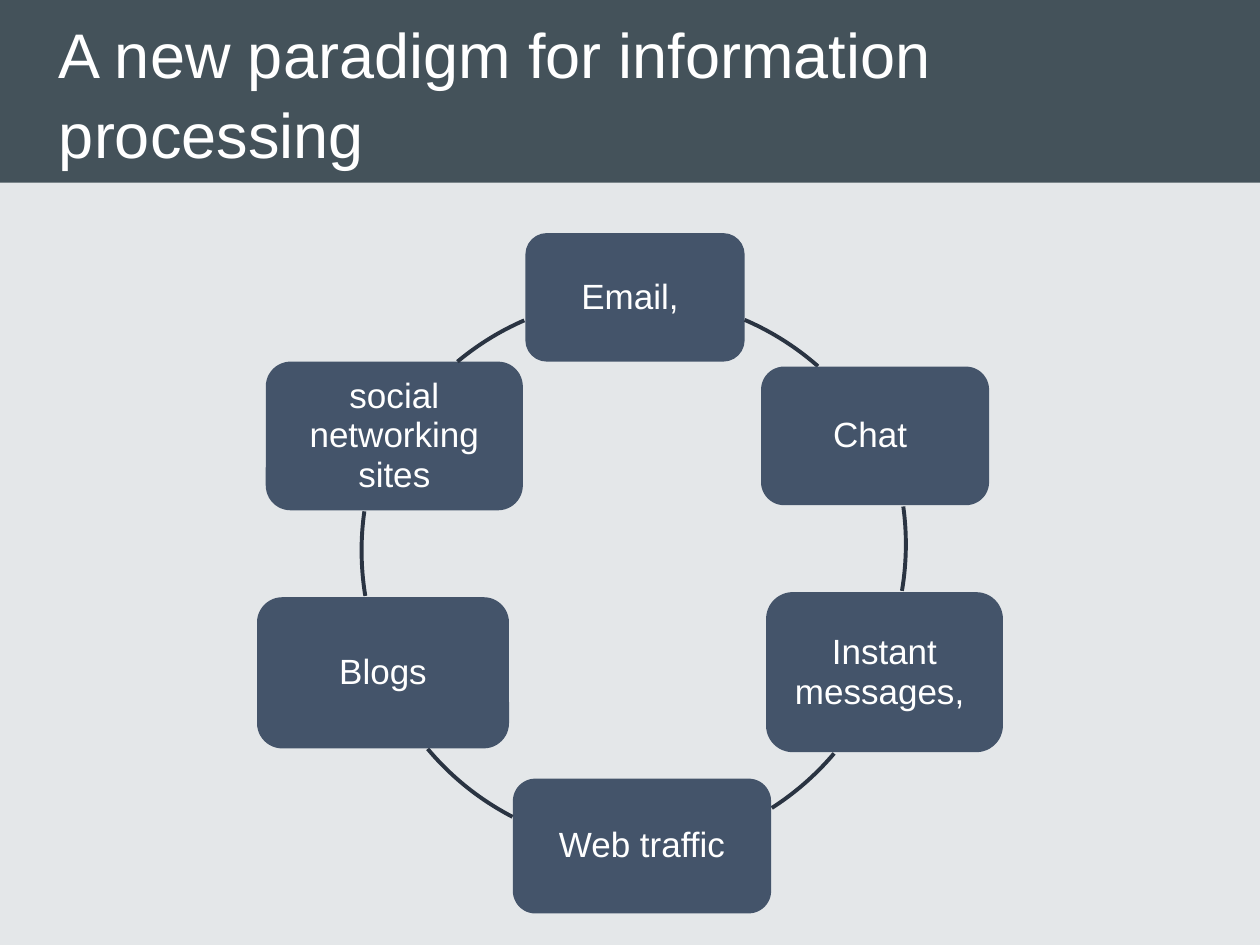
from math import atan2, degrees

from pptx import Presentation
from pptx.dml.color import RGBColor
from pptx.enum.shapes import MSO_SHAPE as SHAPE
from pptx.enum.text import MSO_ANCHOR as ANCHOR, PP_ALIGN as ALIGN
from pptx.util import Inches, Pt

BACKGROUND = RGBColor(0xE4, 0xE7, 0xE9)
BAND = RGBColor(0x44, 0x52, 0x5A)
NODE = RGBColor(0x44, 0x54, 0x6A)
ARC = RGBColor(0x2A, 0x34, 0x42)
WHITE = RGBColor(0xFF, 0xFF, 0xFF)

ARC_SIZE = 4.4
NODE_INSET = 0.13

# text, (left, top, width, height)
NODES = [
    ("Email, ", (4.17, 1.85, 1.74, 1.02)),
    ("Chat ", (6.04, 2.91, 1.81, 1.1)),
    ("Instant messages, ", (6.08, 4.7, 1.88, 1.27)),
    ("Web traffic", (4.07, 6.18, 2.05, 1.07)),
    ("Blogs", (2.04, 4.74, 2, 1.2)),
    ("social networking sites", (2.11, 2.87, 2.04, 1.18)),
]
# circle (left, top), clockwise start point, end point
ARCS = [
    ((2.84, 2.36), (5.91, 2.54), (6.49, 2.91)),
    ((2.79, 2.12), (7.17, 4.02), (7.16, 4.69)),
    ((2.74, 2.36), (6.62, 5.98), (6.13, 6.42)),
    ((2.88, 2.33), (4.07, 6.48), (3.4, 5.94)),
    ((2.87, 2.17), (2.9, 4.73), (2.9, 4.06)),
    ((2.84, 2.36), (3.63, 2.87), (4.16, 2.54)),
]


def add_filled(kind, box, color):
    sp = s.shapes.add_shape(kind, *map(Inches, box))
    sp.shadow.inherit = False
    sp.fill.solid()
    sp.fill.fore_color.rgb = color
    sp.line.fill.background()
    return sp


def write(sp, text, size, align, spacing, inset):
    tf = sp.text_frame
    frame = {"word_wrap": True, "vertical_anchor": ANCHOR.MIDDLE}
    for side in ("left", "right", "top", "bottom"):
        frame[f"margin_{side}"] = Inches(inset)
    for name, value in frame.items():
        setattr(tf, name, value)
    p = tf.paragraphs[0]
    p.alignment = align
    p.line_spacing = spacing
    r = p.add_run()
    r.text = text
    for name, value in {"name": "Arial", "size": Pt(size)}.items():
        setattr(r.font, name, value)
    r.font.color.rgb = WHITE


prs = Presentation()
prs.slide_width, prs.slide_height = Inches(10), Inches(7.5)
s = prs.slides.add_slide(prs.slide_layouts[6])
s.background.fill.solid()
s.background.fill.fore_color.rgb = BACKGROUND

add_filled(SHAPE.RECTANGLE, (0, 0, 10, 1.45), BAND)
title = s.shapes.add_textbox(*map(Inches, (0.37, 0, 9.17, 1.45)))
write(title, "A new paradigm for information processing", 36, ALIGN.LEFT, 1.05, 0.1)

for (text, box), ((left, top), *ends) in zip(NODES, ARCS):
    node = add_filled(SHAPE.ROUNDED_RECTANGLE, box, NODE)
    write(node, text, 20, ALIGN.CENTER, 0.95, NODE_INSET)

    arc = s.shapes.add_shape(SHAPE.ARC, *map(Inches, (left, top, ARC_SIZE, ARC_SIZE)))
    arc.shadow.inherit = False
    arc.fill.background()
    arc.line.color.rgb = ARC
    arc.line.width = Pt(2.25)
    radius = ARC_SIZE / 2
    for i, (x, y) in enumerate(ends):
        angle = degrees(atan2(y - top - radius, x - left - radius)) % 360
        # Angles are stored in 1/60000 degree, adjustments in 1/100000
        arc.adjustments[i] = angle * 0.6

prs.save("out.pptx")
